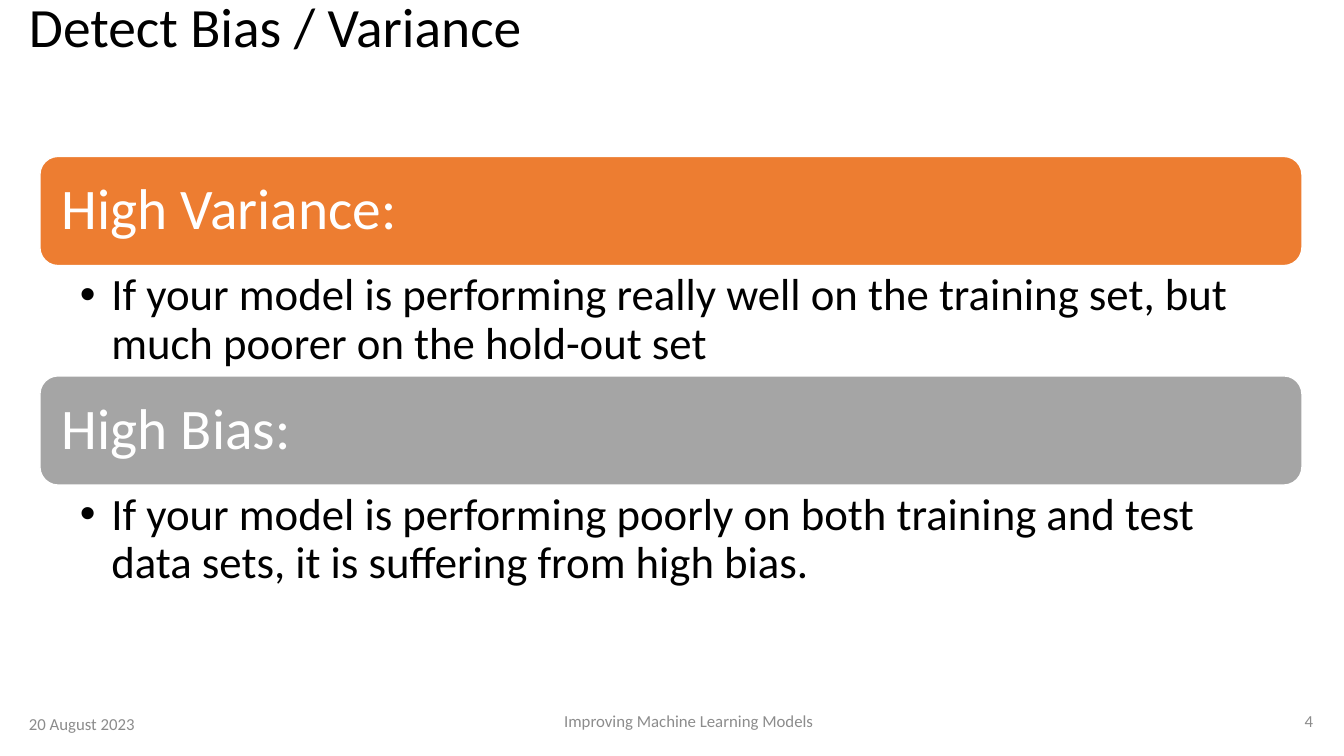
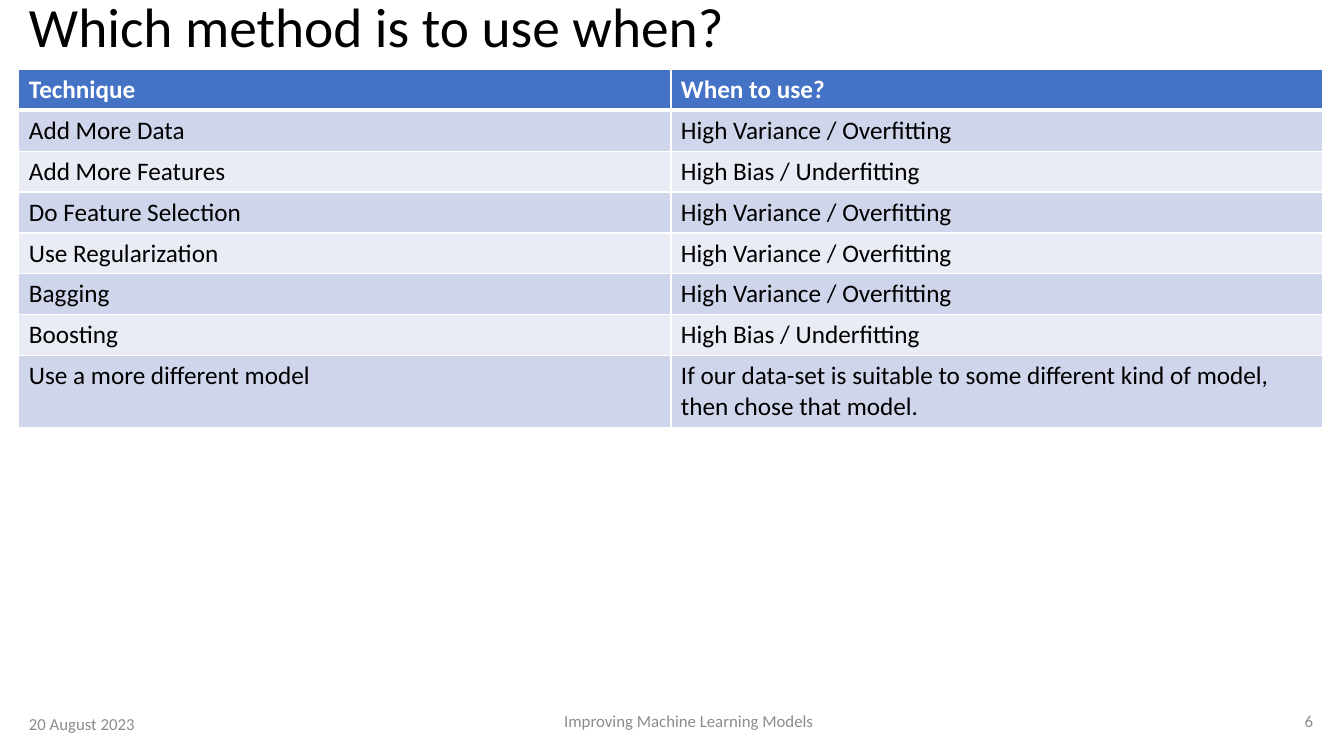
from dataclasses import dataclass

from lxml.etree import SubElement
from pptx import Presentation
from pptx.dml.color import RGBColor
from pptx.enum.shapes import MSO_SHAPE as Preset
from pptx.enum.text import MSO_ANCHOR as Anchor, MSO_AUTO_SIZE as AutoSize, PP_ALIGN as Align
from pptx.oxml.ns import qn
from pptx.util import Emu, Pt

EMU_PER_PX = 9525
SLIDE_WIDTH, SLIDE_HEIGHT = 1280, 720
MARGIN = 18
CONTENT_WIDTH = 1242
FONT = "Calibri"
BLACK, WHITE, FOOTER_GRAY = "000000", "FFFFFF", "8C8C8C"
ORANGE, GRAY, BLUE = "ED7D31", "A5A5A5", "4472C4"
ROW_BANDS = ("CFD5EA", "E9EBF5")
TWO_CONTENT_LAYOUT, TITLE_ONLY_LAYOUT = 3, 5

SECTION_LEFT, SECTION_TOP, SECTION_WIDTH = 38, 149, 1202
BANNER_HEIGHT, DETAIL_HEIGHT = 104, 105
TABLE_TOP, ROW_HEIGHT, LAST_ROW_HEIGHT = 66, 39, 67


@dataclass(frozen=True)
class Box:
    left: int
    top: int
    width: int
    height: int

    def emu(self) -> tuple:
        return tuple(px(value) for value in (self.left, self.top, self.width, self.height))


@dataclass(frozen=True)
class FooterItem:
    text: str
    box: Box
    align: Align


@dataclass(frozen=True)
class Section:
    heading: str
    detail: str
    color: str


SECTIONS = (
    Section("High Variance:", "If your model is performing really well on the training set, "
            "but much poorer on the hold-out set", ORANGE),
    Section("High Bias:", "If your model is performing poorly on both training and test "
            "data sets, it is suffering from high bias.", GRAY),
)
OVERFITTING = "High Variance / Overfitting"
UNDERFITTING = "High Bias / Underfitting"
METHODS = (
    ("Technique", "When to use?"),
    ("Add More Data", OVERFITTING),
    ("Add More Features", UNDERFITTING),
    ("Do Feature Selection", OVERFITTING),
    ("Use Regularization", OVERFITTING),
    ("Bagging", OVERFITTING),
    ("Boosting", UNDERFITTING),
    ("Use a more different model",
     "If our data-set is suitable to some different kind of model, then chose that model."),
)


def px(value: int) -> Emu:
    return Emu(value * EMU_PER_PX)


def rgb(color: str) -> RGBColor:
    return RGBColor.from_string(color)


def place(shape, box: Box) -> None:
    shape.left, shape.top, shape.width, shape.height = box.emu()


def set_insets(frame, left: int, top: int, right: int, bottom: int) -> None:
    frame.margin_left, frame.margin_top = px(left), px(top)
    frame.margin_right, frame.margin_bottom = px(right), px(bottom)


def write(frame, text: str, size: float, color: str = BLACK, align: Align = Align.LEFT,
          spacing: float = 1.0, bold: bool = False):
    paragraph = frame.paragraphs[0]
    paragraph.alignment = align
    paragraph.line_spacing = spacing
    paragraph.space_before = Pt(0)
    run = paragraph.add_run()
    run.text = text
    run.font.name = FONT
    run.font.size = Pt(size)
    run.font.bold = bold
    run.font.color.rgb = rgb(color)
    return paragraph


def prepare_frame(shape, anchor: Anchor):
    frame = shape.text_frame
    frame.word_wrap = True
    frame.auto_size = AutoSize.NONE
    frame.vertical_anchor = anchor
    return frame


def add_bullet(paragraph, indent: int) -> None:
    properties = paragraph._p.get_or_add_pPr()
    properties.set("marL", str(px(indent)))
    properties.set("indent", str(px(-indent)))
    SubElement(properties, qn("a:buFont"), typeface="Arial")
    SubElement(properties, qn("a:buChar"), char="•")


def add_base_slide(presentation, layout: int, title: str, number: int):
    slide = presentation.slides.add_slide(presentation.slide_layouts[layout])
    place(slide.shapes.title, Box(MARGIN, 0, CONTENT_WIDTH, 56))
    write(prepare_frame(slide.shapes.title, Anchor.MIDDLE), title, 39.6, spacing=0.9)
    footer = (
        FooterItem("20 August 2023", Box(MARGIN, 670, 194, 38), Align.LEFT),
        FooterItem("Improving Machine Learning Models", Box(225, 667, 862, 38), Align.CENTER),
        FooterItem(str(number), Box(1099, 667, 161, 38), Align.RIGHT),
    )
    for item in footer:
        shape = slide.shapes.add_textbox(*item.box.emu())
        write(prepare_frame(shape, Anchor.MIDDLE), item.text, 12, FOOTER_GRAY, item.align)
    return slide


def add_section(slide, section: Section, detail_shape, top: int) -> None:
    banner_box = Box(SECTION_LEFT, top, SECTION_WIDTH, BANNER_HEIGHT)
    banner = slide.shapes.add_shape(Preset.ROUNDED_RECTANGLE, *banner_box.emu())
    banner.shadow.inherit = False
    banner.fill.solid()
    banner.fill.fore_color.rgb = rgb(section.color)
    banner.line.color.rgb = rgb(WHITE)
    banner.line.width = Pt(1)
    frame = prepare_frame(banner, Anchor.MIDDLE)
    set_insets(frame, 16, 16, 16, 16)
    write(frame, section.heading, 41, WHITE, spacing=0.9)

    place(detail_shape, Box(SECTION_LEFT, top + BANNER_HEIGHT, SECTION_WIDTH, DETAIL_HEIGHT))
    frame = prepare_frame(detail_shape, Anchor.TOP)
    set_insets(frame, 38, 6, 31, 6)
    add_bullet(write(frame, section.detail, 32, spacing=0.9), 30)


def add_borders(cell, bottom_width: int) -> None:
    properties = cell._tc.get_or_add_tcPr()
    for side, width in (("L", 1), ("R", 1), ("T", 1), ("B", bottom_width)):
        line = SubElement(properties, qn(f"a:ln{side}"), w=str(Pt(width)))
        fill = SubElement(line, qn("a:solidFill"))
        SubElement(fill, qn("a:srgbClr"), val=WHITE)


def add_method_table(slide) -> None:
    height = ROW_HEIGHT * (len(METHODS) - 1) + LAST_ROW_HEIGHT
    box = Box(MARGIN, TABLE_TOP, CONTENT_WIDTH, height)
    table = slide.shapes.add_table(len(METHODS), len(METHODS[0]), *box.emu()).table
    for row_index, values in enumerate(METHODS):
        header = row_index == 0
        last = row_index == len(METHODS) - 1
        table.rows[row_index].height = px(LAST_ROW_HEIGHT if last else ROW_HEIGHT)
        for column_index, text in enumerate(values):
            cell = table.cell(row_index, column_index)
            add_borders(cell, 3 if header else 1)
            cell.fill.solid()
            cell.fill.fore_color.rgb = rgb(BLUE if header else ROW_BANDS[(row_index - 1) % 2])
            write(cell.text_frame, text, 18, WHITE if header else BLACK, bold=header)


def main() -> None:
    presentation = Presentation()
    presentation.slide_width, presentation.slide_height = px(SLIDE_WIDTH), px(SLIDE_HEIGHT)

    slide = add_base_slide(presentation, TWO_CONTENT_LAYOUT, "Detect Bias / Variance", 4)
    for index, section in enumerate(SECTIONS):
        top = SECTION_TOP + index * (BANNER_HEIGHT + DETAIL_HEIGHT)
        add_section(slide, section, slide.placeholders[index + 1], top)

    slide = add_base_slide(presentation, TITLE_ONLY_LAYOUT, "Which method is to use when?", 6)
    add_method_table(slide)

    presentation.save("out.pptx")


if __name__ == "__main__":
    main()
